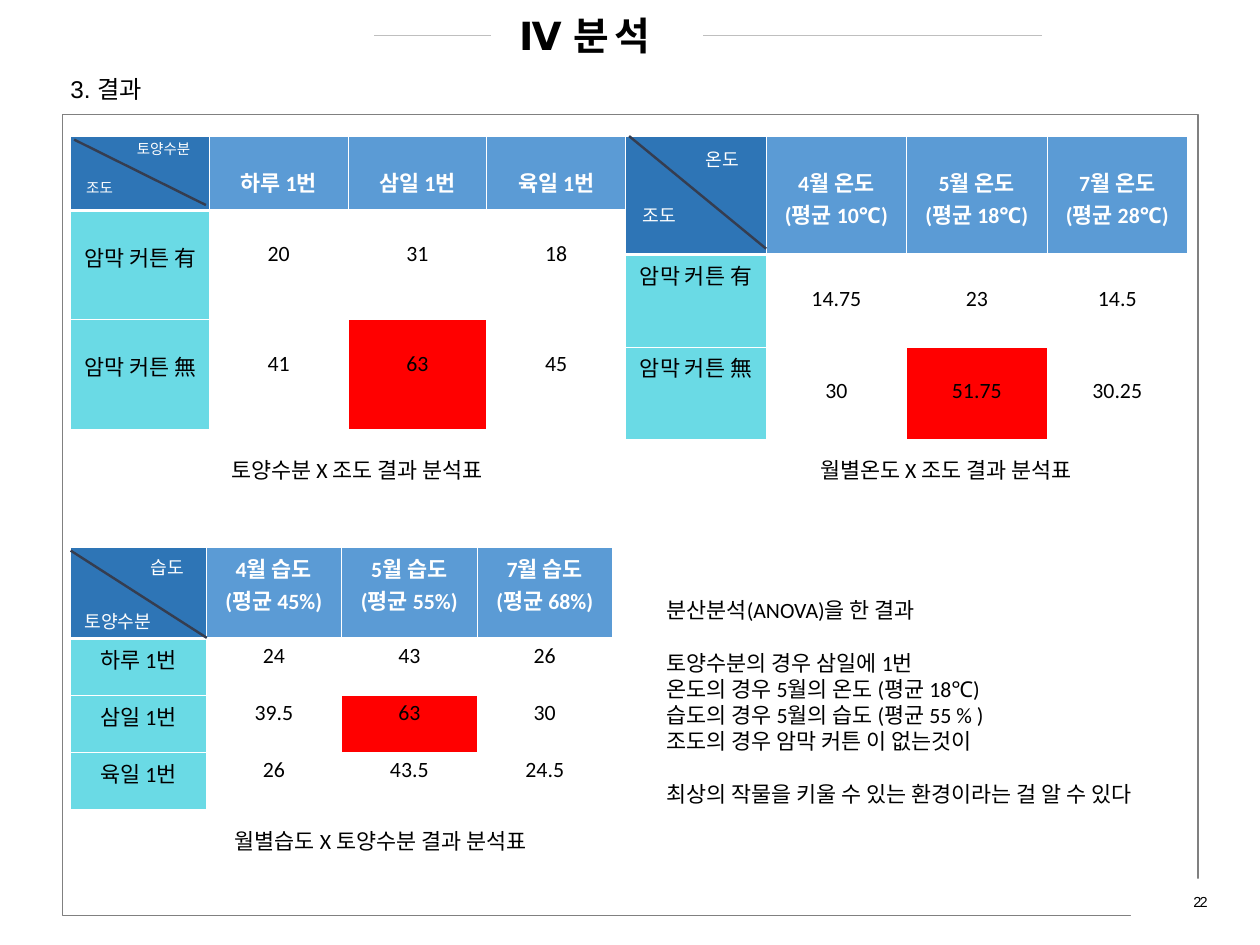
from collections import namedtuple
from dataclasses import dataclass

from lxml import etree
from pptx import Presentation
from pptx.dml.color import RGBColor
from pptx.enum.shapes import MSO_CONNECTOR, MSO_SHAPE
from pptx.enum.text import MSO_ANCHOR, PP_ALIGN
from pptx.oxml.ns import qn
from pptx.util import Inches, Pt

RECTANGLE = MSO_SHAPE.RECTANGLE
STRAIGHT = MSO_CONNECTOR.STRAIGHT
LEFT, CENTER, RIGHT = PP_ALIGN.LEFT, PP_ALIGN.CENTER, PP_ALIGN.RIGHT
TOP, MIDDLE = MSO_ANCHOR.TOP, MSO_ANCHOR.MIDDLE

BLACK = RGBColor(0x00, 0x00, 0x00)
WHITE = RGBColor(0xFF, 0xFF, 0xFF)
FRAME_GRAY = RGBColor(0x80, 0x80, 0x80)
RULE_GRAY = RGBColor(0xBF, 0xBF, 0xBF)
DIAGONAL_INK = RGBColor(0x35, 0x3D, 0x50)
CORNER_BLUE = RGBColor(0x2E, 0x75, 0xB6)
HEADER_BLUE = RGBColor(0x5B, 0x9B, 0xD5)
LABEL_CYAN = RGBColor(0x6A, 0xDA, 0xE5)
PEAK_RED = RGBColor(0xFF, 0x00, 0x00)

UNIT = Inches(0.1)
COLUMNS, ROWS = 144.4, 108.3
BODY_SIZE = 18
CELL_TOP, LOWERED_TOP = Inches(0.05), Inches(0.35)

Box = namedtuple("Box", "left top width height")


@dataclass
class Result:
    """Holds the content and inner layout of one analysis table."""
    headers: list
    rows: dict
    header_height: float
    lowered: tuple
    diagonal: tuple
    corner_labels: dict
    corner_size: int
    caption: str
    caption_at: tuple


MOISTURE_BY_LIGHT = Result(
    ["하루 1번", "삼일 1번", "육일 1번"],
    {"암막 커튼 有": ["20", "31", "18"], "암막 커튼 無": ["41", "63", "45"]},
    8.5, ("header", "label", "value"), (0.4, 0.4, 15.5, 7.9),
    {"토양수분": (6.6, 0), "조도": (0.8, 4.4)}, 12,
    "토양수분 X 조도 결과 분석표", (17.4, 36.3))
TEMPERATURE_BY_LIGHT = Result(
    ["4월 온도\n(평균 10℃)", "5월 온도\n(평균 18℃)", "7월 온도\n(평균 28℃)"],
    {"암막 커튼 有": ["14.75", "23", "14.5"],
     "암막 커튼 無": ["30", "51.75", "30.25"]},
    13.6, ("header", "value"), (0.4, 0, 16.1, 12.9),
    {"온도": (8.2, 0.9), "조도": (1, 7.3)}, 15,
    "월별온도 X 조도 결과 분석표", (21.3, 36.3))
HUMIDITY_BY_MOISTURE = Result(
    ["4월 습도\n(평균 45%)", "5월 습도\n(평균 55%)", "7월 습도\n(평균 68%)"],
    {"하루 1번": ["24", "43", "26"], "삼일 1번": ["39.5", "63", "30"],
     "육일 1번": ["26", "43.5", "24.5"]},
    10.4, (), (0, 0.3, 15.6, 10.3),
    {"습도": (8.2, 0.5), "토양수분": (0.6, 6.7)}, 15,
    "월별습도 X 토양수분 결과 분석표", (17.8, 31.6))
CONCLUSION = [
    "분산분석(ANOVA)을 한 결과",
    "토양수분의 경우 삼일에 1번",
    "온도의 경우 5월의 온도 (평균 18℃)",
    "습도의 경우 5월의 습도 (평균 55 % )",
    "조도의 경우 암막 커튼 이 없는것이",
    "최상의 작물을 키울 수 있는 환경이라는 걸 알 수 있다",
]
CONCLUSION_BREAKS = (1, 5)


def grid(*lengths):
    """Convert grid lengths to slide lengths."""
    return [int(length * UNIT) for length in lengths]


def style_text(frame, size, color, font="Calibri", bold=False, align=LEFT, spacing=None):
    """Format every paragraph and run of a text frame."""
    for paragraph in frame.paragraphs:
        paragraph.alignment = align
        for run in paragraph.runs:
            run.font.name, run.font.size, run.font.bold = font, Pt(size), bold
            run.font.color.rgb = color
            if spacing is not None:
                run.font._element.set("spc", str(int(spacing * 100)))


def add_text(slide, box, text, size, color=BLACK, anchor=TOP, **style):
    """Place wrapped text in a box and return its frame."""
    frame = slide.shapes.add_textbox(*grid(*box)).text_frame
    frame.word_wrap, frame.vertical_anchor = True, anchor
    frame.text = text
    style_text(frame, size, color, **style)
    return frame


def add_panel(slide, box, outline=None):
    """Place a white rectangle with an optional outline."""
    panel = slide.shapes.add_shape(RECTANGLE, *grid(*box))
    panel.shadow.inherit = False
    panel.fill.solid()
    panel.fill.fore_color.rgb = WHITE
    if outline is None:
        panel.line.fill.background()
    else:
        panel.line.color.rgb, panel.line.width = outline, Pt(1)


def add_rule(slide, ends, color, width):
    """Draw a straight line between two grid points."""
    rule = slide.shapes.add_connector(STRAIGHT, *grid(*ends))
    rule.line.color.rgb, rule.line.width = color, Pt(width)
    etree.SubElement(rule._element.spPr, qn("a:effectLst"))


def add_text_shadow(run):
    """Give a run a soft shadow towards the lower right."""
    effects = etree.Element(qn("a:effectLst"))
    shadow = etree.SubElement(effects, qn("a:outerShdw"), blurRad="38100",
                              dist="38100", dir="2700000", algn="tl")
    tint = etree.SubElement(shadow, qn("a:srgbClr"), val=str(BLACK))
    etree.SubElement(tint, qn("a:alpha"), val="43000")
    run.font._element.find(qn("a:solidFill")).addnext(effects)


def fill_cell(cell, text, fill, color, bold, lowered, top_rule, bottom_rule):
    """Write one table cell with its fill and white borders."""
    cell.text = text
    style_text(cell.text_frame, BODY_SIZE, color, bold=bold, align=CENTER)
    cell.margin_top = LOWERED_TOP if lowered else CELL_TOP
    properties = cell._tc.get_or_add_tcPr()
    for side, width in zip("LRTB", (1, 1, top_rule, bottom_rule)):
        border = etree.SubElement(properties, qn(f"a:ln{side}"), w=str(Pt(width)))
        paint = etree.SubElement(border, qn("a:solidFill"))
        etree.SubElement(paint, qn("a:srgbClr"), val=str(WHITE))
    cell.fill.solid()
    cell.fill.fore_color.rgb = fill


def add_result(slide, box, result):
    """Place a table with its split corner and caption, marking its largest value."""
    records = [["", *result.headers]]
    records += [[label, *values] for label, values in result.rows.items()]
    peak = max((value for values in result.rows.values() for value in values), key=float)
    table = slide.shapes.add_table(len(records), len(records[0]), *grid(*box)).table
    body_height = (box.height - result.header_height) / len(result.rows)
    for column in table.columns:
        column.width = int(box.width * UNIT / len(records[0]))
    for r, record in enumerate(records):
        table.rows[r].height = int((body_height if r else result.header_height) * UNIT)
        for c, text in enumerate(record):
            if r == 0:
                part, fill = "header", HEADER_BLUE if c else CORNER_BLUE
            elif c == 0:
                part, fill = "label", LABEL_CYAN
            else:
                part, fill = "value", PEAK_RED if text == peak else WHITE
            fill_cell(table.cell(r, c), text, fill, BLACK if r else WHITE, r == 0,
                      part in result.lowered, 3 if r == 1 else 1, 1 if r else 3)
    x1, y1, x2, y2 = result.diagonal
    add_rule(slide, (box.left + x1, box.top + y1, box.left + x2, box.top + y2),
             DIAGONAL_INK, 2)
    for label, (x, y) in result.corner_labels.items():
        add_text(slide, Box(box.left + x, box.top + y, 12, 3.5), label,
                 result.corner_size, WHITE)
    x, y = result.caption_at
    add_text(slide, Box(box.left + x, box.top + y, 40.9, 4), result.caption, BODY_SIZE)


def add_page_frame(slide, box):
    """Place the framed page area with its cut corner and page number."""
    add_panel(slide, box, FRAME_GRAY)
    add_panel(slide, Box(129.6, 100.7, COLUMNS - 129.6, ROWS - 100.7))
    add_text(slide, Box(106.9, 102.2, 32.5, 2.3), "22", 12, anchor=MIDDLE,
             font="Arial", align=RIGHT, spacing=-1.5)


def add_heading(slide, box):
    """Place the chapter title on its rule and the section line below it."""
    add_rule(slide, (42.9, 4.1, 119.4, 4.1), RULE_GRAY, 0.5)
    add_panel(slide, box, WHITE)
    title = add_text(slide, Box(box.left + 3.6, box.top - 0.5, 20.5, 6.4), "분 석", 32,
                     font="Arial", bold=True, align=CENTER, spacing=-1.5)
    add_text_shadow(title.paragraphs[0].runs[0])
    add_text(slide, Box(box.left + 2.2, box.top - 0.4, 6.2, 6.4), "Ⅳ", 32,
             font="Arial", bold=True)
    add_text(slide, Box(7.1, 8, 33.4, 4.4), "3. 결과", 20, font="Arial")


def add_conclusion(slide, box):
    """Place the closing statement with gaps between its three parts."""
    frame = add_text(slide, box, "\n".join(CONCLUSION), BODY_SIZE)
    for index in CONCLUSION_BREAKS:
        frame.paragraphs[index].space_before = Pt(22)


def main():
    """Build the analysis slide and save it."""
    deck = Presentation()
    deck.slide_width, deck.slide_height = grid(COLUMNS, ROWS)
    slide = deck.slides.add_slide(deck.slide_layouts[6])
    add_page_frame(slide, Box(7.2, 13.1, 130.1, 91.8))
    add_heading(slide, Box(56.3, 1.3, 24.2, 8))
    add_result(slide, Box(8.1, 62.8, 62.1, 30), HUMIDITY_BY_MOISTURE)
    add_result(slide, Box(71.7, 15.6, 64.4, 34.8), TEMPERATURE_BY_LIGHT)
    add_result(slide, Box(8.1, 15.6, 63.6, 33.6), MOISTURE_BY_LIGHT)
    add_conclusion(slide, Box(75.4, 67.9, 63.1, 25.2))
    deck.save("out.pptx")


if __name__ == "__main__":
    main()
